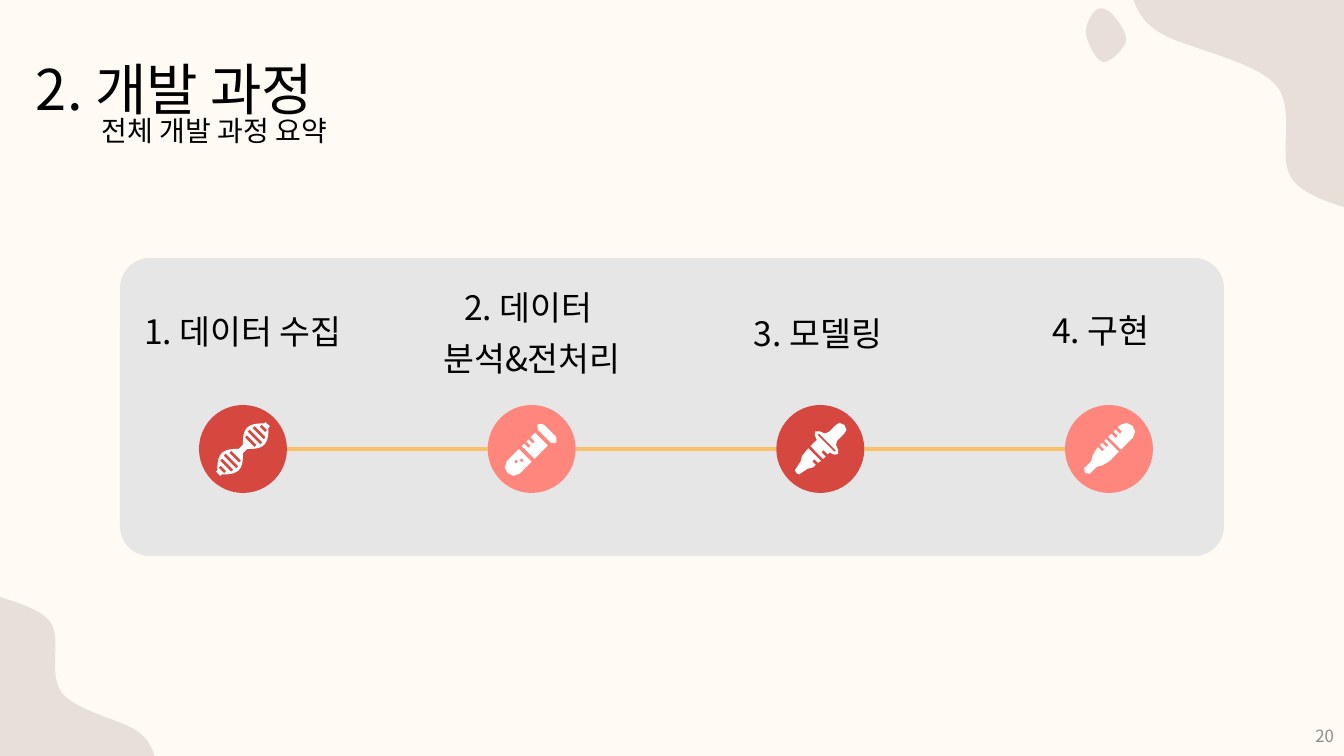
from math import pi, sin, sqrt

from lxml.etree import SubElement
from pptx import Presentation
from pptx.dml.color import RGBColor
from pptx.enum.shapes import MSO_CONNECTOR, MSO_SHAPE
from pptx.enum.text import MSO_ANCHOR, MSO_AUTO_SIZE, PP_ALIGN
from pptx.oxml.ns import qn
from pptx.util import Pt

SCALE = 914400 / 100.8
FONT = "Noto Sans CJK KR"
COLORS = {
    "background": "FFFAF3", "panel": "E7E6E6", "blob": "E7DFD8", "red": "D6473F",
    "coral": "FF867C", "line": "FCC068", "icon": "FFFFFF", "text": "000000",
    "number": "8C8C8C",
}

TITLE = "2. 개발 과정"
SUBTITLE = "전체 개발 과정 요약"
PAGE_NUMBER = "20"

# Lines of the label, its left, top and height, the circle colour, the icon
STEPS = [
    (["1. 데이터 수집"], 120, 291, 85, "red", "dna"),
    (["2. 데이터 ", "분석&전처리"], 409, 291, 88, "coral", "test tube"),
    (["3. 모델링"], 695, 293, 85, "red", "pipette"),
    (["4. 구현"], 978, 289, 88, "coral", "thermometer"),
]
LABEL_WIDTH = 246
FIRST_CENTER, LAST_CENTER, CENTER_Y, RADIUS = 243, 1109, 449, 44

# Each icon lies on a diagonal axis and is the same on both sides of it.
# A profile lists (distance along the axis, half width) from low to high.
DNA_REACH, DNA_HALF_WIDTH, DNA_WAIST, STRAND = 35, 12, 3, 3
RUNG_GAPS = [11, 17, 23, 29]


def dna_half(along):
    return max(DNA_WAIST, DNA_HALF_WIDTH * abs(sin(pi * along / (DNA_REACH + 1))))


def rung_gap(along):
    half = dna_half(along) - STRAND
    return [(along - 1.5, half), (along + 1.5, half)]


# Each part has a profile, and may have notches, the side they cut, and holes.
ICONS = {
    "dna": [
        {"profile": [(u, dna_half(u)) for u in range(-DNA_REACH, DNA_REACH + 1)],
         "holes": [rung_gap(sign * u) for sign in (-1, 1) for u in RUNG_GAPS]},
    ],
    "test tube": [
        {"profile": [(18, 9), (20, 12), (22, 13), (25, 10), (26, 8)]},
        {"profile": [(-5, 9), (14, 9)], "notches": [0, 6]},
        {"profile": [(-34, 0), (-32, 6), (-26, 9), (-9, 9)]},
    ],
    "pipette": [
        {"profile": [(-34, 0), (-33, 3), (-28, 4), (-23, 5), (-18, 8), (-8, 9)],
         "notches": [-13], "side": 1},
        {"profile": [(-5, 9), (4, 9), (6, 14), (9, 16), (12, 13), (14, 8), (18, 6),
                     (28, 6), (32, 5), (34, 0)],
         "notches": [0], "side": 1, "holes": [[(8, 12), (10, 12)]]},
    ],
    "thermometer": [
        {"profile": [(8, 9), (25, 9), (31, 6), (33, 0)], "notches": [14, 20]},
        {"profile": [(-34, 0), (-31, 4), (-21, 4), (-16, 7), (-8, 9), (5, 9)],
         "notches": [-5, 1]},
    ],
}
NOTCH_WIDTH, NOTCH_BOTTOM = 3, 3
BUBBLES, BUBBLE_SIZE = [(-15, 1), (-20, -2)], 3

# The lower left wave also fills the upper right corner, half turned and stretched.
WAVE = [(-2, 596), (51, 623), (62, 693), (137, 731), (156, 759)]
WAVE_CORNER = (-5, 759)
PEBBLE = [(1096, 10), (1086, 34), (1103, 62), (1126, 41), (1112, 14)]


def px(value):
    return round(value * SCALE)


def color(name):
    return RGBColor.from_string(COLORS[name])


def paint(shape, name):
    shape.shadow.inherit = False
    shape.fill.solid()
    shape.fill.fore_color.rgb = color(name)
    shape.line.fill.background()


def add_filled(kind, left, top, width, height, name):
    shape = page.shapes.add_shape(kind, px(left), px(top), px(width), px(height))
    paint(shape, name)
    return shape


def add_circle(x, y, radius, name):
    add_filled(MSO_SHAPE.OVAL, x - radius, y - radius, 2 * radius, 2 * radius, name)


def add_outline(contours, name):
    """Draw the first contour filled and cut the others out of it."""
    first, *holes = [[(px(x), px(y)) for x, y in contour] for contour in contours]
    builder = page.shapes.build_freeform(*first[0], scale=1.0)
    builder.add_line_segments(first[1:])
    for hole in holes:
        builder.move_to(*hole[0])
        builder.add_line_segments(hole[1:])
    paint(builder.convert_to_shape(), name)


def smooth(anchors, closed=False, pieces=12):
    """Run a Catmull-Rom curve through the anchors."""
    if closed:
        padded = [anchors[-1], *anchors, *anchors[:2]]
    else:
        padded = [anchors[0], *anchors, anchors[-1]]
    curve = []
    for a, b, c, d in zip(padded, padded[1:], padded[2:], padded[3:]):
        for t in (piece / pieces for piece in range(pieces)):
            curve.append(tuple(
                q + t / 2 * (r - p + t * (2 * p - 5 * q + 4 * r - s
                                          + t * (3 * (q - r) + s - p)))
                for p, q, r, s in zip(a, b, c, d)))
    return curve + [padded[-2]]


def turn_wave(point):
    return 1371 - 1.54 * point[0], 1027 - 1.36 * point[1]


def on_diagonal(along, across, center):
    return center + (along + across) / sqrt(2), CENTER_Y + (across - along) / sqrt(2)


def mirror_profile(profile, center, notches=(), side=-1):
    """Go up the notched side of the axis and back down the other."""
    edge = [(along, side * half) for along, half in profile]
    for along in notches:
        half = max(half for start, half in profile if start <= along)
        for step, depth in ((-1, half), (-1, NOTCH_BOTTOM), (1, NOTCH_BOTTOM), (1, half)):
            edge.append((along + step * NOTCH_WIDTH / 2, side * depth))
    edge.sort(key=lambda point: point[0])
    back = [(along, -side * half) for along, half in reversed(profile)]
    return [on_diagonal(along, across, center) for along, across in edge + back]


def add_icon(icon, center, background):
    for part in ICONS[icon]:
        body = mirror_profile(part["profile"], center, part.get("notches", ()),
                              part.get("side", -1))
        holes = [mirror_profile(hole, center) for hole in part.get("holes", ())]
        add_outline([body, *holes], "icon")
    if icon == "test tube":
        for along, across in BUBBLES:
            add_circle(*on_diagonal(along, across, center), BUBBLE_SIZE / 2, background)


def add_link(start, end):
    link = page.shapes.add_connector(MSO_CONNECTOR.STRAIGHT, px(start), px(CENTER_Y),
                                     px(end), px(CENTER_Y))
    link.line.color.rgb = color("line")
    link.line.width = Pt(3)
    SubElement(link._element.spPr, qn("a:effectLst"))


def write(box, lines, size, bounds, align=PP_ALIGN.LEFT, anchor=MSO_ANCHOR.MIDDLE,
          name="text", spacing=0.9, inset=0):
    box.left, box.top, box.width, box.height = map(px, bounds)
    frame = box.text_frame
    frame.word_wrap = True
    frame.auto_size = MSO_AUTO_SIZE.NONE
    frame.vertical_anchor = anchor
    frame.margin_left = frame.margin_right = px(inset)
    frame.margin_top = frame.margin_bottom = px(inset / 2)
    frame.text = "\n".join(lines)
    for index, para in enumerate(frame.paragraphs):
        para.alignment = align
        para.line_spacing = spacing
        para.space_before = Pt(10 if index else 0)
        para.font.size = Pt(size)
        para.font.color.rgb = color(name)
        para.font.name = FONT
        defaults = para._p.pPr.find(qn("a:defRPr"))
        SubElement(defaults, qn("a:ea")).set("typeface", FONT)


def add_text(lines, size, bounds, **options):
    write(page.shapes.add_textbox(0, 0, 0, 0), lines, size, bounds, **options)


deck = Presentation()
deck.slide_width, deck.slide_height = px(1344), px(756)
page = deck.slides.add_slide(deck.slide_layouts[5])
page.background.fill.solid()
page.background.fill.fore_color.rgb = color("background")

panel = add_filled(MSO_SHAPE.ROUNDED_RECTANGLE, 120, 258, 1104, 298, "panel")
panel.adjustments[0] = 0.1
wave = smooth(WAVE) + [WAVE_CORNER]
for blob in (wave, [turn_wave(point) for point in wave], smooth(PEBBLE, closed=True)):
    add_outline([blob], "blob")

pitch = (LAST_CENTER - FIRST_CENTER) / (len(STEPS) - 1)
for index, (lines, left, top, height, fill, icon) in enumerate(STEPS):
    center = FIRST_CENTER + index * pitch
    add_text(lines, 24, (left, top, LABEL_WIDTH, height), align=PP_ALIGN.CENTER)
    add_circle(center, CENTER_Y, RADIUS, fill)
    add_icon(icon, center, fill)
    if index:
        add_link(center - pitch + RADIUS, center - RADIUS)

write(page.shapes.title, [TITLE], 40, (36, 62, 1132, 85), anchor=MSO_ANCHOR.TOP)
add_text([PAGE_NUMBER], 12, (1041, 716, 303, 40), align=PP_ALIGN.RIGHT, name="number",
         spacing=1.0, inset=10)
add_text([SUBTITLE], 20, (102, 113, 684, 38))

deck.save("out.pptx")
